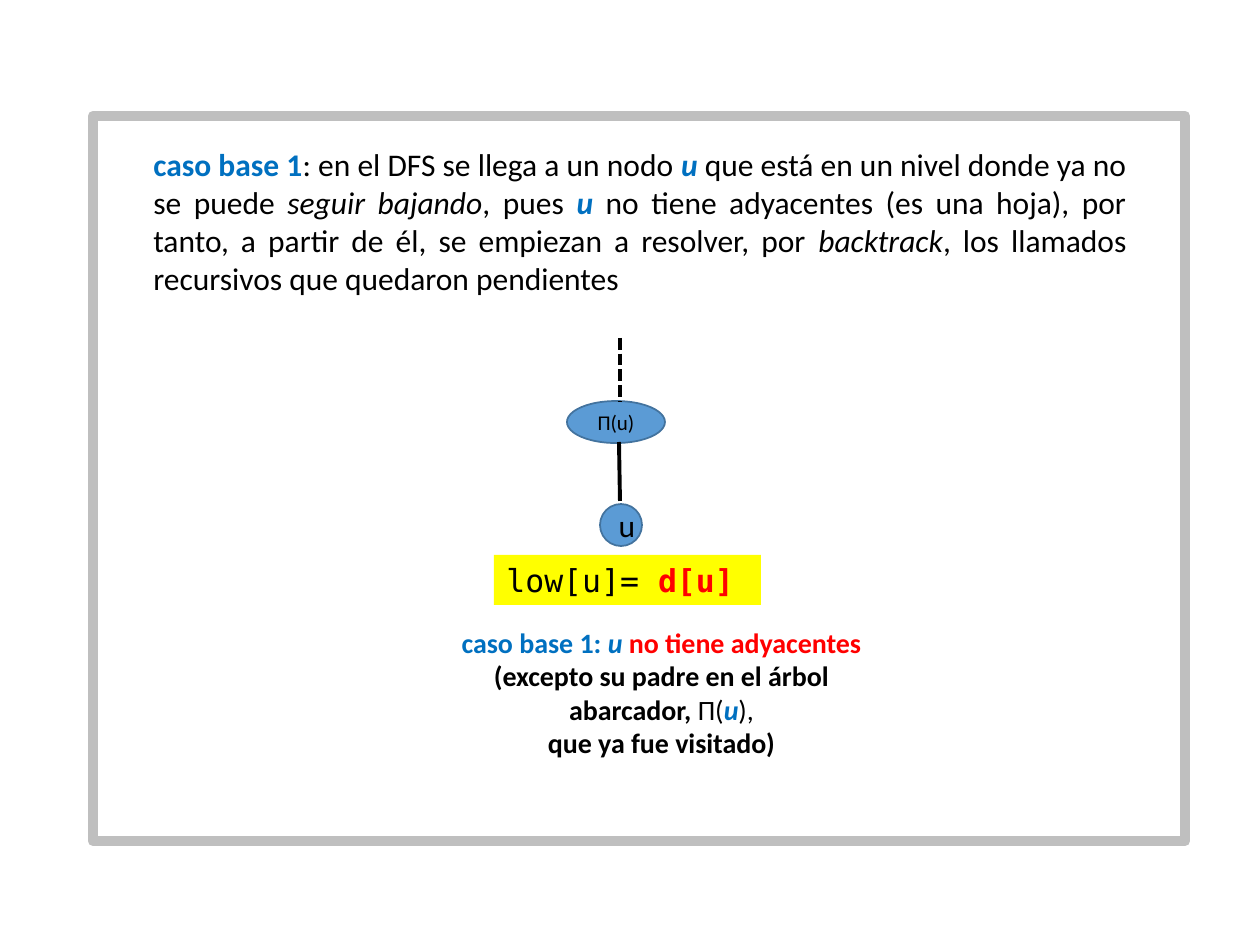
from dataclasses import dataclass

from lxml.etree import SubElement
from pptx import Presentation
from pptx.dml.color import RGBColor as Rgb
from pptx.enum.dml import MSO_LINE as Dash
from pptx.enum.shapes import MSO_CONNECTOR as Link, MSO_SHAPE as Kind
from pptx.enum.text import MSO_ANCHOR as Anchor, MSO_AUTO_SIZE as Fit, PP_ALIGN as Align
from pptx.oxml.ns import qn
from pptx.util import Emu, Pt

SCALE = 914400 / 126


def px(num):
    return Emu(round(num * SCALE))


@dataclass
class Theme:
    black: str = "000000"
    blue: str = "0070C0"
    red: str = "FF0000"
    yellow: str = "FFFF00"
    node: str = "5B9BD5"
    edge: str = "43739E"
    gray: str = "BFBFBF"
    font: str = "Calibri"
    mono: str = "DejaVu Sans Mono"
    body: int = 18
    note: int = 16
    small: int = 12


class Board:
    def __init__(self, slide, theme):
        self.shapes = slide.shapes
        self.theme = theme

    def fill_text(self, shape, paras, size, align, font=None):
        frame = shape.text_frame
        frame.word_wrap = True
        for i, parts in enumerate(paras):
            para = frame.add_paragraph() if i else frame.paragraphs[0]
            para.alignment = align
            for text, color, style in parts:
                run = para.add_run()
                run.text = text
                face = run.font
                face.name = font or self.theme.font
                face.size = Pt(size)
                face.color.rgb = Rgb.from_string(color)
                face.bold = "b" in style
                face.italic = "i" in style
        return frame

    def shape(self, kind, box, fill=None, line=None, width=1):
        item = self.shapes.add_shape(kind, *map(px, box))
        item.shadow.inherit = False
        if fill:
            item.fill.solid()
            item.fill.fore_color.rgb = Rgb.from_string(fill)
        else:
            item.fill.background()
        if line:
            item.line.color.rgb = Rgb.from_string(line)
            item.line.width = Pt(width)
        else:
            item.line.fill.background()
        return item

    def text(self, box, paras, size, align):
        item = self.shapes.add_textbox(*map(px, box))
        self.fill_text(item, paras, size, align).auto_size = Fit.SHAPE_TO_FIT_TEXT

    def label(self, box, parts):
        item = self.shape(Kind.RECTANGLE, box, self.theme.yellow)
        frame = self.fill_text(item, [parts], self.theme.body, Align.LEFT, self.theme.mono)
        frame.vertical_anchor = Anchor.TOP
        frame.auto_size = Fit.SHAPE_TO_FIT_TEXT

    def node(self, box, text, size):
        item = self.shape(Kind.OVAL, box, self.theme.node, self.theme.edge)
        frame = self.fill_text(item, [[(text, self.theme.black, "")]], size, Align.CENTER)
        frame.vertical_anchor = Anchor.MIDDLE

    def line(self, ends, dash=None):
        item = self.shapes.add_connector(Link.STRAIGHT, *map(px, ends))
        item.line.color.rgb = Rgb.from_string(self.theme.black)
        item.line.width = Pt(2.25)
        if dash:
            item.line.dash_style = dash
        SubElement(item._element.spPr, qn("a:effectLst"))

    def frame(self, box):
        self.shape(Kind.RECTANGLE, box, line=self.theme.gray, width=6)


def main():
    deck = Presentation()
    deck.slide_width, deck.slide_height = px(1260), px(945)
    theme = Theme()
    board = Board(deck.slides.add_slide(deck.slide_layouts[6]), theme)
    black, blue, red = theme.black, theme.blue, theme.red

    board.label((494, 555, 267, 50), [("low[u]= ", black, ""), ("d[u]", red, "b")])
    board.node((567, 401, 98, 42), "Π(u)", theme.small)
    board.node((600, 504, 42, 42), "u", theme.body)
    board.line((619, 442, 620, 501))
    board.line((620, 338, 620, 401), Dash.SQUARE_DOT)

    intro = [
        ("caso base 1", blue, "b"),
        (": en el DFS se llega a un nodo ", black, ""),
        ("u ", blue, "bi"),
        ("que está en un nivel donde ya no se puede ", black, ""),
        ("seguir bajando", black, "i"),
        (", pues ", black, ""),
        ("u", blue, "bi"),
        (" no tiene adyacentes (es una hoja), por tanto, a partir de él, "
         "se empiezan a resolver, por ", black, ""),
        ("backtrack", black, "i"),
        (", los llamados recursivos que quedaron pendientes", black, ""),
    ]
    board.text((141, 139, 998, 165), [intro], theme.body, Align.JUSTIFY)

    note = [
        ("caso base 1: ", blue, "b"),
        ("u ", blue, "bi"),
        ("no tiene adyacentes ", red, "b"),
        ("(excepto su padre en el árbol abarcador, ", black, "b"),
        ("Π(", black, ""),
        ("u", blue, "bi"),
        ("),", black, ""),
    ]
    last = [("que ya fue visitado)", black, "b")]
    board.text((441, 619, 441, 149), [note, last], theme.note, Align.CENTER)
    board.frame((93, 116, 1092, 725))

    deck.save("out.pptx")


if __name__ == "__main__":
    main()
